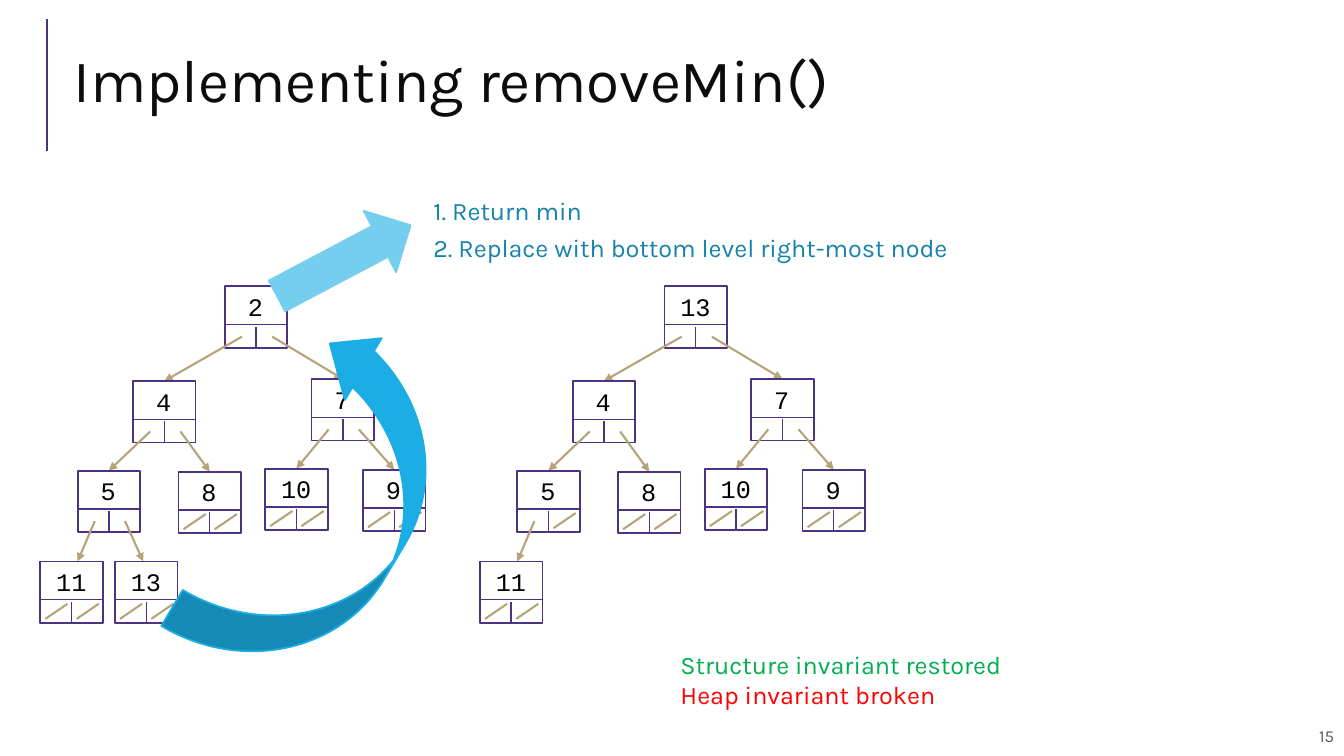
import pptx
import pptx.util
import pptx.dml.color
import pptx.enum.shapes
import pptx.enum.text
import pptx.oxml.ns
import lxml.etree

Inches, Pt = pptx.util.Inches, pptx.util.Pt
SHAPE = pptx.enum.shapes.MSO_SHAPE
ALIGN = pptx.enum.text.PP_ALIGN
ANCHOR = pptx.enum.text.MSO_ANCHOR

PURPLE, TAN, TEAL = "4C3282", "B6A479", "1482AB"
SIDE = 0.62   # node width
TALL = 0.61   # node height
HALF = 0.31   # width of one pointer cell
SHIFT = 4.36  # gap from the first tree to the second

# Nodes: name -> (left, top, shift of the incoming arrow tip)
PLACES = {
    "root": (2.23, 2.84, 0),
    "4": (1.32, 3.78, 0), "7": (3.09, 3.76, 0),
    "5": (0.77, 4.67, 0), "8": (1.77, 4.68, 0),
    "10": (2.63, 4.65, 0), "9": (3.6, 4.66, 0),
    "11": (0.4, 5.57, 0.06), "13": (1.14, 5.57, -0.03),
}
LINKS = {"root": ("4", "7"), "4": ("5", "8"), "7": ("10", "9")}
BEFORE = {**LINKS, "5": ("11", "13")}
AFTER = {**LINKS, "5": ("11", None)}


def color(code):
    return pptx.dml.color.RGBColor.from_string(code)


def text(slide, box, lines, size=18, font="Karla", tint="000000", pad=0.05,
         align=ALIGN.LEFT, anchor=ANCHOR.TOP, space=None, wrap=True):
    """Add a text box; each line is a string or a (string, color) pair."""
    frame = slide.shapes.add_textbox(*map(Inches, box)).text_frame
    frame.word_wrap = wrap
    frame.vertical_anchor = anchor
    frame.margin_left = frame.margin_right = Inches(0.1)
    frame.margin_top = frame.margin_bottom = Inches(pad)
    for i, line in enumerate(lines):
        words, shade = line if isinstance(line, tuple) else (line, tint)
        para = frame.paragraphs[0] if i == 0 else frame.add_paragraph()
        para.alignment = align
        if space:
            para.line_spacing = space
        run = para.add_run()
        run.text = words
        run.font.name = font
        run.font.size = Pt(size)
        run.font.color.rgb = color(shade)


def line(slide, start, end, tint, width, head=False):
    """Add a straight line, with an arrowhead at its end if asked."""
    link = slide.shapes.add_connector(
        pptx.enum.shapes.MSO_CONNECTOR.STRAIGHT,
        *map(Inches, (*start, *end)))
    link.line.color.rgb = color(tint)
    link.line.width = Pt(width)
    if head:
        lxml.etree.SubElement(link.line._get_or_add_ln(),
                              pptx.oxml.ns.qn("a:tailEnd"), type="triangle")
    lxml.etree.SubElement(link._element.spPr, pptx.oxml.ns.qn("a:effectLst"))


def shape(slide, kind, box, fill=None, edge=PURPLE, turn=0, adjust=()):
    item = slide.shapes.add_shape(kind, *map(Inches, box))
    item.shadow.inherit = False
    if fill:
        item.fill.solid()
        item.fill.fore_color.rgb = color(fill)
    else:
        item.fill.background()
    item.line.color.rgb = color(edge)
    item.line.width = Pt(1.25)
    item.rotation = turn
    for i, value in enumerate(adjust):
        item.adjustments[i] = value


def node(slide, x, y, label):
    """Draw a value cell above two pointer cells."""
    shape(slide, SHAPE.RECTANGLE, (x, y, SIDE, TALL))
    inset, width = (0.13, 0.35) if len(label) == 1 else (0.06, 0.5)
    text(slide, (x + inset, y, width, 0.4), [label],
         font="Courier New", wrap=False)
    line(slide, (x, y + 0.38), (x + SIDE, y + 0.38), PURPLE, 1)
    line(slide, (x + HALF, y + TALL), (x + HALF, y + 0.4), PURPLE, 1)


def tree(slide, root, links, shift=0):
    """Draw every node that the links reach, with arrows or null slashes."""
    def grow(name):
        left, top, _ = PLACES[name]
        left += shift
        node(slide, left, top, root if name == "root" else name)
        for side, kid in enumerate(links.get(name, (None, None))):
            if kid:
                x, y, tip = PLACES[kid]
                line(slide, (left + 0.17 + side * 0.3, top + 0.5),
                     (x + shift + HALF + tip, y), TAN, 1.5, head=True)
                grow(kid)
            else:
                x = left + side * HALF
                line(slide, (x + 0.27, top + 0.42),
                     (x + 0.05, top + 0.57), TAN, 1.5)
    grow("root")


def main():
    deck = pptx.Presentation()
    deck.slide_width, deck.slide_height = Inches(13.33), Inches(7.5)
    slide = deck.slides.add_slide(deck.slide_layouts[6])

    # Title and page number
    line(slide, (0.47, 1.5), (0.47, 0.19), PURPLE, 1.5)
    text(slide, (8.65, 7.1, 4.68, 0.4), ["15"], size=12, tint="595959",
         pad=0.1, align=ALIGN.RIGHT, anchor=ANCHOR.MIDDLE)
    text(slide, (0.63, 0.29, 12.23, 1.11), ["Implementing removeMin()"],
         size=43, tint="0C0C0C", anchor=ANCHOR.MIDDLE, space=0.8)

    # Heap before, with the two moves
    tree(slide, "2", BEFORE)
    shape(slide, SHAPE.CURVED_RIGHT_ARROW, (2.41, 3.27, 1.66, 3.62),
          "1CADE4", "1CADE4", turn=210.8, adjust=(0.25, 0.43, 0.25))
    shape(slide, SHAPE.RIGHT_ARROW, (2.66, 2.24, 1.5, 0.69),
          "76CEEF", "76CEEF", turn=332.1)

    # Heap after
    tree(slide, "13", AFTER, SHIFT)

    # Steps and outcome
    text(slide, (6.65, 6.39, 6.42, 0.7),
         [("Structure invariant restored", "00B050"),
          ("Heap invariant broken", "FF0000")])
    text(slide, (4.2, 1.89, 6.65, 0.4), ["1. Return min"], tint=TEAL)
    text(slide, (4.2, 2.21, 8.89, 0.5),
         ["2. Replace with bottom level right-most node"], tint=TEAL, pad=0.1)

    deck.save("out.pptx")


if __name__ == "__main__":
    main()
